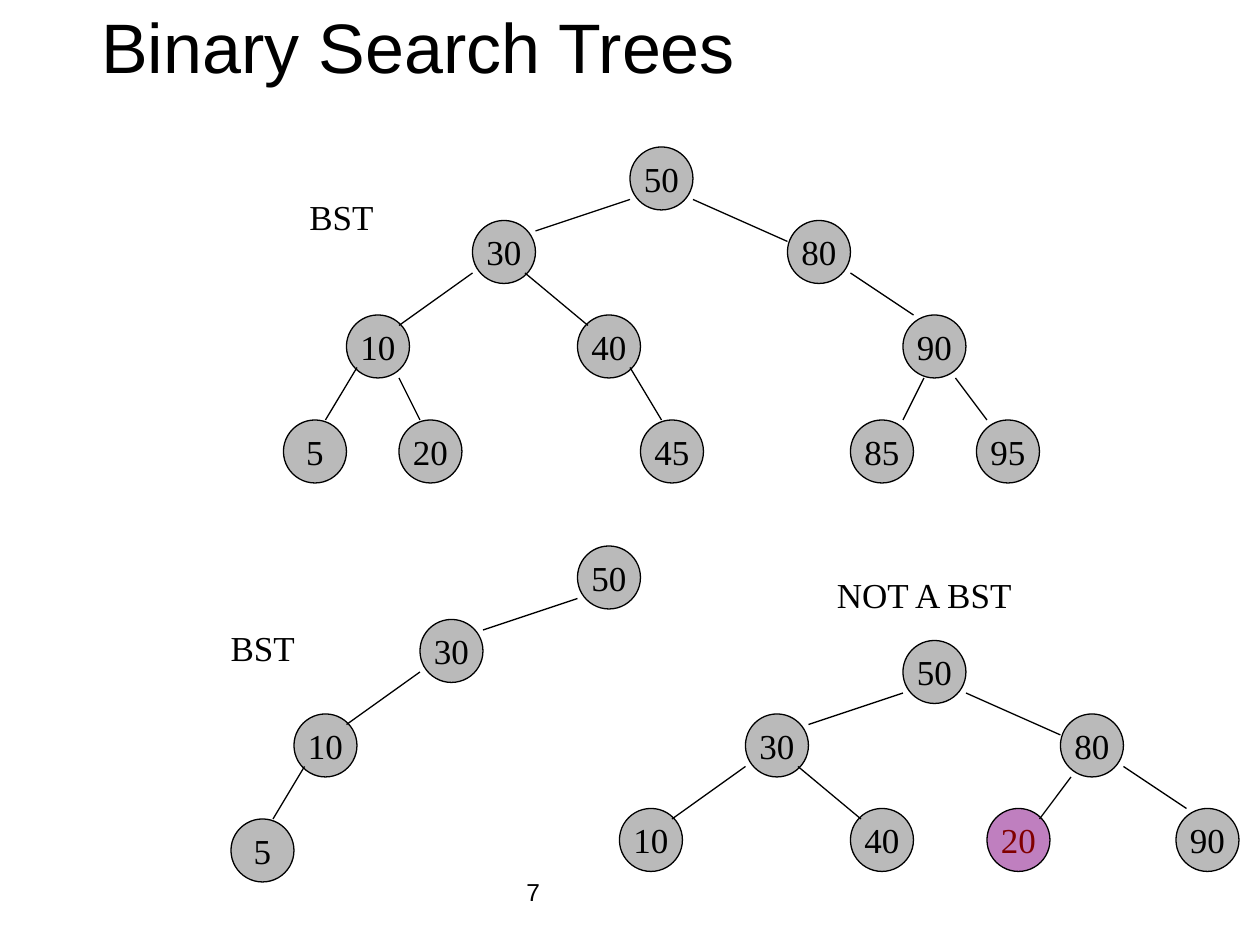
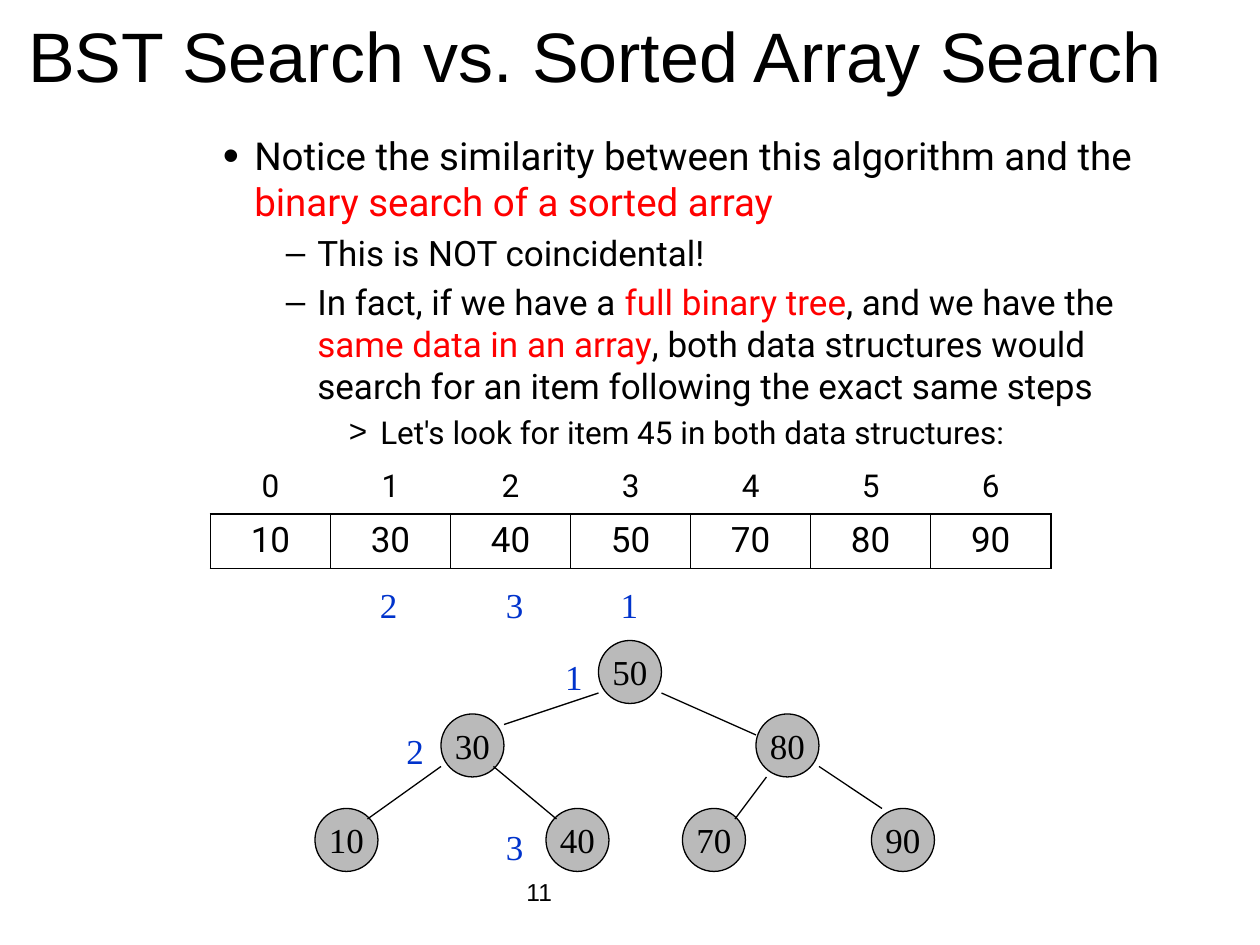
from dataclasses import dataclass

import lxml.etree
import pptx
import pptx.dml.color
import pptx.enum.shapes
import pptx.enum.text
import pptx.oxml.ns
import pptx.presentation
import pptx.slide
import pptx.text.text
import pptx.util

Inches = pptx.util.Inches
Pt = pptx.util.Pt
RGBColor = pptx.dml.color.RGBColor
PP_ALIGN = pptx.enum.text.PP_ALIGN
MSO_ANCHOR = pptx.enum.text.MSO_ANCHOR
qn = pptx.oxml.ns.qn

BLACK = RGBColor(0x00, 0x00, 0x00)
GREY = RGBColor(0x77, 0x77, 0x77)
PURPLE = RGBColor(0x80, 0x00, 0x80)
MAROON = RGBColor(0x80, 0x00, 0x00)
RED = RGBColor(0xFF, 0x00, 0x00)
BLUE = RGBColor(0x00, 0x33, 0xCC)

SANS, BODY, SERIF = "Arial", "Roboto", "Times New Roman"
GRID = Inches(1) / 12
NODE = 6


@dataclass(frozen=True)
class Slot:
    """Node offset from the root and the two ends of its edge, in grid units."""
    dx: int
    dy: int
    leave: tuple[int, int] = (0, 0)
    arrive: tuple[int, int] = (0, 0)


@dataclass(frozen=True)
class Tree:
    """A tree with its root position in grid units and its keys by slot."""
    x: int
    y: int
    keys: dict[str, int]
    misplaced: str | None = None


@dataclass(frozen=True)
class Label:
    """A centred line of serif text, in inches."""
    text: str
    x: float
    y: float
    w: float
    h: float
    color: RGBColor = BLACK


@dataclass(frozen=True)
class Bullet:
    """A bulleted paragraph made of coloured runs."""
    char: str
    indent: float
    size: int
    runs: tuple[tuple[str, RGBColor], ...]
    percent: int = 100


SLOTS = {
    "": Slot(0, 0),
    "L": Slot(-15, 7, (0, 5), (6, 1)),
    "R": Slot(15, 7, (6, 5), (0, 2)),
    "LL": Slot(-27, 16, (0, 5), (5, 1)),
    "LR": Slot(-5, 16, (5, 5), (1, 1)),
    "RL": Slot(8, 16, (1, 6), (5, 1)),
    "RR": Slot(26, 16, (6, 5), (1, 0)),
    "LLL": Slot(-33, 26, (1, 5), (4, 0)),
    "LLR": Slot(-22, 26, (5, 6), (2, 0)),
    "LRR": Slot(1, 26, (5, 5), (2, 0)),
    "RRL": Slot(21, 26, (2, 6), (5, 0)),
    "RRR": Slot(33, 26, (5, 6), (1, 0)),
}

EXAMPLE_TREES = (
    Tree(60, 14, {"": 50, "L": 30, "R": 80, "LL": 10, "LR": 40, "RR": 90,
                  "LLL": 5, "LLR": 20, "LRR": 45, "RRL": 85, "RRR": 95}),
    Tree(55, 52, {"": 50, "L": 30, "LL": 10, "LLL": 5}),
    Tree(86, 61, {"": 50, "L": 30, "R": 80, "LL": 10, "LR": 40, "RL": 20, "RR": 90}, "RL"),
)
EXAMPLE_LABELS = (
    Label("BST", 1.75, 1.5, 1.92, 0.43),
    Label("BST", 0.92, 4.92, 2.33, 0.43),
    Label("NOT A BST", 6.17, 4.5, 2.33, 0.43),
)

SEARCH_TREE = Tree(57, 61, {"": 50, "L": 30, "R": 80, "LL": 10, "LR": 40, "RL": 70, "RR": 90})
SORTED_ARRAY = (10, 30, 40, 50, 70, 80, 90)
TREE_STEPS = ((4.39, 5.15), (3.13, 5.74), (3.92, 6.5))
ARRAY_STEPS = ((4.83, 4.58), (2.92, 4.58), (3.92, 4.58))
BULLETS = (
    Bullet("•", 1.25, 22, (
        ("Notice the similarity between this algorithm and the ", BLACK),
        ("binary search of a sorted array", RED)), 120),
    Bullet("–", 1.75, 20, (("This is NOT coincidental!", BLACK),)),
    Bullet("–", 1.75, 20, (
        ("In fact, if we have a ", BLACK),
        ("full binary tree", RED),
        (", and we have the ", BLACK),
        ("same data in an array", RED),
        (", both data structures would search for an item following the exact same steps", BLACK))),
    Bullet(">", 2.25, 18, (("Let's look for item 45 in both data structures:", BLACK),)),
)


def add_run(p: pptx.text.text._Paragraph, text: str, size: int, font: str,
            color: RGBColor = BLACK) -> None:
    """Append one styled run."""
    r = p.add_run()
    r.text = text
    r.font.size = Pt(size)
    r.font.name = font
    r.font.color.rgb = color


def add_box(s: pptx.slide.Slide, x: float, y: float, w: float, h: float,
            anchor: MSO_ANCHOR = MSO_ANCHOR.TOP) -> pptx.text.text.TextFrame:
    """Add a wrapping text box and return its frame."""
    tf = s.shapes.add_textbox(Inches(x), Inches(y), Inches(w), Inches(h)).text_frame
    tf.word_wrap = True
    tf.vertical_anchor = anchor
    return tf


def add_slide(prs: pptx.presentation.Presentation, title: str, number: int,
              x: float, w: float, h: float) -> pptx.slide.Slide:
    """Add a blank slide with its title and page number."""
    s = prs.slides.add_slide(prs.slide_layouts[6])
    tf = add_box(s, x, 0.28, w, h, MSO_ANCHOR.MIDDLE)
    tf.margin_left = tf.margin_right = Inches(0.07)
    p = tf.paragraphs[0]
    p.line_spacing = 0.7
    add_run(p, title, 40, SANS)
    tf = add_box(s, 4.08, 6.83, 2.08, 0.5, MSO_ANCHOR.MIDDLE)
    add_run(tf.paragraphs[0], str(number), 14, SANS)
    return s


def add_label(s: pptx.slide.Slide, label: Label) -> None:
    """Add a centred serif label."""
    tf = add_box(s, label.x, label.y, label.w, label.h)
    tf.margin_left = tf.margin_right = 0
    p = tf.paragraphs[0]
    p.alignment = PP_ALIGN.CENTER
    add_run(p, label.text, 20, SERIF, label.color)


def add_steps(s: pptx.slide.Slide, places: tuple[tuple[float, float], ...]) -> None:
    """Number the given places in search order."""
    for step, (x, y) in enumerate(places, 1):
        add_label(s, Label(str(step), x, y, 0.33, 0.33, BLUE))


def add_node(s: pptx.slide.Slide, key: int, x: int, y: int, misplaced: bool) -> None:
    """Add a half-transparent circle holding a key."""
    left, top, side = (round(v * GRID) for v in (x, y, NODE))
    sp = s.shapes.add_shape(pptx.enum.shapes.MSO_SHAPE.OVAL, left, top, side, side)
    sp.shadow.inherit = False
    sp.fill.solid()
    sp.fill.fore_color.rgb = PURPLE if misplaced else GREY
    color = sp._element.spPr.find(qn("a:solidFill")).find(qn("a:srgbClr"))
    lxml.etree.SubElement(color, qn("a:alpha"), val="50000")
    sp.line.color.rgb = BLACK
    sp.line.width = Pt(0.75)
    tf = sp.text_frame
    tf.word_wrap = False
    tf.vertical_anchor = MSO_ANCHOR.MIDDLE
    p = tf.paragraphs[0]
    p.alignment = PP_ALIGN.CENTER
    add_run(p, str(key), 20, SERIF, MAROON if misplaced else BLACK)


def add_edge(s: pptx.slide.Slide, tree: Tree, name: str) -> None:
    """Add the line from a node's parent to the node."""
    child, parent = SLOTS[name], SLOTS[name[:-1]]
    ends = (tree.x + parent.dx + child.leave[0], tree.y + parent.dy + child.leave[1],
            tree.x + child.dx + child.arrive[0], tree.y + child.dy + child.arrive[1])
    line = s.shapes.add_connector(pptx.enum.shapes.MSO_CONNECTOR.STRAIGHT,
                                  *(round(v * GRID) for v in ends))
    line.line.color.rgb = BLACK
    line.line.width = Pt(0.75)
    lxml.etree.SubElement(line._element.spPr, qn("a:effectLst"))


def add_tree(s: pptx.slide.Slide, tree: Tree) -> None:
    """Draw the nodes of a tree, then its edges."""
    for name, key in tree.keys.items():
        slot = SLOTS[name]
        add_node(s, key, tree.x + slot.dx, tree.y + slot.dy, name == tree.misplaced)
    for name in filter(None, tree.keys):
        add_edge(s, tree, name)


def add_bullets(s: pptx.slide.Slide) -> None:
    """Add the bulleted body text."""
    tf = add_box(s, 0.67, 1, 8.58, 2.65)
    for i, bullet in enumerate(BULLETS):
        p = tf.add_paragraph() if i else tf.paragraphs[0]
        p.space_before = Pt(bullet.size * 0.2)
        pPr = p._p.get_or_add_pPr()
        pPr.set("marL", str(Inches(bullet.indent)))
        pPr.set("indent", str(Inches(-0.25)))
        color = lxml.etree.SubElement(pPr, qn("a:buClr"))
        lxml.etree.SubElement(color, qn("a:srgbClr"), val=str(BLACK))
        lxml.etree.SubElement(pPr, qn("a:buSzPct"), val=str(bullet.percent * 1000))
        lxml.etree.SubElement(pPr, qn("a:buFont"), typeface=SANS)
        lxml.etree.SubElement(pPr, qn("a:buChar"), char=bullet.char)
        for text, run_color in bullet.runs:
            add_run(p, text, bullet.size, BODY, run_color)


def set_borders(cell: "pptx.table._Cell", sides: str) -> None:
    """Give the named sides of a cell a thin black line and hide the others."""
    tcPr = cell._tc.get_or_add_tcPr()
    for i, side in enumerate("LRTB"):
        ln = lxml.etree.Element(qn(f"a:ln{side}"), w=str(Pt(1)))
        if side in sides:
            fill = lxml.etree.SubElement(ln, qn("a:solidFill"))
            lxml.etree.SubElement(fill, qn("a:srgbClr"), val=str(BLACK))
        else:
            lxml.etree.SubElement(ln, qn("a:noFill"))
        tcPr.insert(i, ln)


def add_array(s: pptx.slide.Slide) -> None:
    """Add the sorted array with its indices and a free row for steps."""
    rows = ((range(len(SORTED_ARRAY)), 18, 0.41, "B"),
            (SORTED_ARRAY, 20, 0.43, "LRTB"),
            ([""] * len(SORTED_ARRAY), 18, 0.41, "T"))
    table = s.shapes.add_table(len(rows), len(SORTED_ARRAY), Inches(1.67), Inches(3.67),
                               Inches(6.67), Inches(1.25)).table
    table.first_row = table.horz_banding = False
    for i, (values, size, height, sides) in enumerate(rows):
        table.rows[i].height = Inches(height)
        for j, value in enumerate(values):
            cell = table.cell(i, j)
            cell.fill.background()
            set_borders(cell, sides)
            p = cell.text_frame.paragraphs[0]
            p.alignment = PP_ALIGN.CENTER
            if value != "":
                add_run(p, str(value), size, BODY)


def main() -> None:
    """Build both slides and save them."""
    prs = pptx.Presentation()
    prs.slide_width, prs.slide_height = Inches(10), Inches(7.5)

    s = add_slide(prs, " Binary Search Trees", 7, 0.58, 8.83, 0.33)
    for tree in EXAMPLE_TREES:
        add_tree(s, tree)
    for label in EXAMPLE_LABELS:
        add_label(s, label)

    s = add_slide(prs, " BST Search vs. Sorted Array Search", 11, 0, 9.42, 0.47)
    add_bullets(s)
    add_tree(s, SEARCH_TREE)
    add_array(s)
    add_steps(s, TREE_STEPS)
    add_steps(s, ARRAY_STEPS)

    prs.save("out.pptx")


if __name__ == "__main__":
    main()
